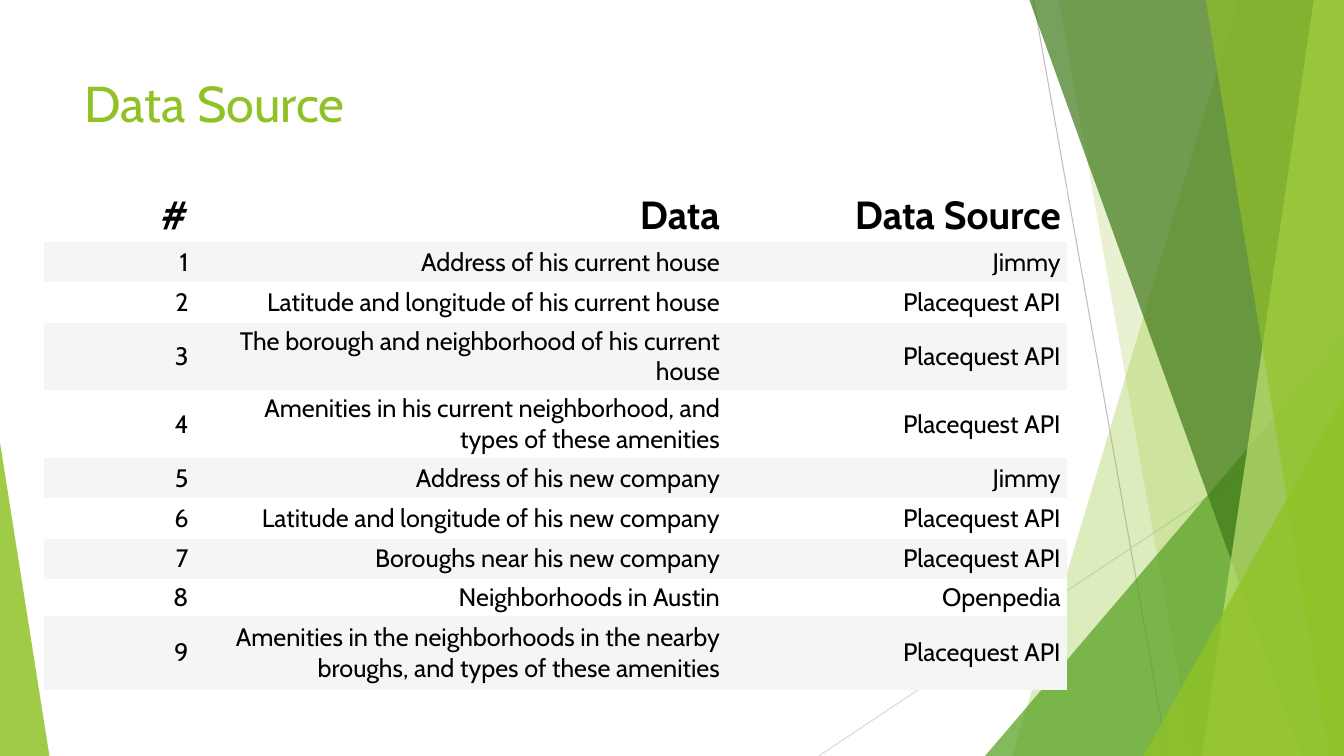
import pptx
import pptx.util
import pptx.dml.color
import pptx.enum.shapes
import pptx.enum.text
import pptx.oxml
import pptx.oxml.ns

RGB = pptx.dml.color.RGBColor
Inches = pptx.util.Inches
Pt = pptx.util.Pt
KIND = pptx.enum.shapes.MSO_SHAPE

FONT = "Cabin"
LIME = RGB(0x90, 0xC2, 0x26)
GREEN = RGB(0x54, 0xA0, 0x21)
DARK = RGB(0x3F, 0x78, 0x19)
PALE = RGB(0xC0, 0xE4, 0x74)
SILVER = RGB(0xBF, 0xBF, 0xBF)
MIST = RGB(0xD9, 0xD9, 0xD9)
STRIPE = RGB(0xF5, 0xF5, 0xF5)
WHITE = RGB(0xFF, 0xFF, 0xFF)
BLACK = RGB(0, 0, 0)

WIDE, HIGH = 13.33, 7.5
TITLE = "Data Source"
API = "Placequest API"
HEAD = ("#", "Data", "Data Source")
# what is needed, where it comes from, row height
ROWS = [
    ("Address of his current house", "Jimmy", 0.4),
    ("Latitude and longitude of his current house", API, 0.4),
    ("The borough and neighborhood of his current house", API, 0.67),
    ("Amenities in his current neighborhood, and types of these amenities", API, 0.67),
    ("Address of his new company", "Jimmy", 0.4),
    ("Latitude and longitude of his new company", API, 0.4),
    ("Boroughs near his new company", API, 0.4),
    ("Neighborhoods in Austin", "Openpedia", 0.37),
    ("Amenities in the neighborhoods in the nearby broughs, and types of these amenities",
     API, 0.73),
]
COLS = (1.49, 5.27, 3.38)
HEAD_HIGH = 0.53
LEFT, TOP = 0.44, 1.87

# start x, start y, end x, end y, colour
LINES = [
    (10.25, 0, 11.58, HIGH, SILVER),
    (WIDE, 4.03, 8.12, HIGH, MIST),
]
# "band": x at top and x at foot, filled out to the right edge
# "wedge": left, top, width and apex share, standing on the foot
DECOR = [
    ("band", (12.28, 10.04), LIME, 30),
    ("band", (10.5, 11.83), LIME, 20),
    ("wedge", (9.77, 3.33, 3.56, 1), GREEN, 72),
    ("band", (10.21, 12.91), DARK, 70),
    ("band", (13.03, 11.92), PALE, 70),
    ("band", (11.96, 13.18), LIME, 65),
    ("wedge", (11.34, 3.93, 1.99, 1), LIME, 80),
    ("wedge", (0, 4.39, 0.49, 0), LIME, 85),
]


def add_line(shapes, x1, y1, x2, y2, color):
    line = shapes.add_connector(pptx.enum.shapes.MSO_CONNECTOR.STRAIGHT,
                                Inches(x1), Inches(y1), Inches(x2), Inches(y2))
    line.line.color.rgb = color
    line.line.width = Pt(0.75)
    pptx.oxml.ns.qn("a:effectLst")
    line._element.spPr.append(line._element.spPr.makeelement(
        pptx.oxml.ns.qn("a:effectLst"), {}))


def add_band(shapes, top, foot):
    build = shapes.build_freeform(Inches(top), 0)
    build.add_line_segments([(Inches(x), Inches(y)) for x, y in
                             ((WIDE, 0), (WIDE, HIGH), (foot, HIGH))])
    return build.convert_to_shape()


def add_wedge(shapes, left, top, width, apex):
    wedge = shapes.add_shape(KIND.ISOSCELES_TRIANGLE, Inches(left), Inches(top),
                             Inches(width), Inches(HIGH - top))
    wedge.adjustments[0] = apex
    return wedge


def tint(shape, color, alpha):
    """Fill with a see-through colour; alpha is percent opaque."""
    shape.shadow.inherit = False
    shape.line.fill.background()
    shape.fill.solid()
    shape.fill.fore_color.rgb = color
    node = shape._element.spPr.find(".//" + pptx.oxml.ns.qn("a:srgbClr"))
    veil = node.makeelement(pptx.oxml.ns.qn("a:alpha"), {"val": str(alpha * 1000)})
    node.append(veil)


def style(para, size, color, bold=False):
    for run in para.runs:
        run.font.name = FONT
        run.font.size = Pt(size)
        run.font.bold = bold
        run.font.color.rgb = color


def add_title(slide):
    title = slide.shapes.title
    title.left, title.top = Inches(0.74), Inches(0.67)
    title.width, title.height = Inches(9.4), Inches(1.44)
    frame = title.text_frame
    frame.text = TITLE
    frame.vertical_anchor = pptx.enum.text.MSO_ANCHOR.TOP
    frame.paragraphs[0].alignment = pptx.enum.text.PP_ALIGN.LEFT
    style(frame.paragraphs[0], 36, LIME)


def fill_cell(cell, text, row):
    cell.margin_left = cell.margin_right = Inches(0.06)
    cell.margin_top = cell.margin_bottom = Inches(0.03)
    cell.vertical_anchor = pptx.enum.text.MSO_ANCHOR.MIDDLE
    cell.fill.solid()
    cell.fill.fore_color.rgb = STRIPE if row % 2 else WHITE
    cell.text_frame.text = text
    para = cell.text_frame.paragraphs[0]
    para.alignment = pptx.enum.text.PP_ALIGN.RIGHT
    style(para, 18 if row else 28, BLACK, bold=row == 0)


def add_grid(shapes):
    cells = [HEAD] + [(str(n), data, origin)
                      for n, (data, origin, _) in enumerate(ROWS, 1)]
    highs = [HEAD_HIGH] + [high for _, _, high in ROWS]
    table = shapes.add_table(len(cells), len(COLS), Inches(LEFT), Inches(TOP),
                             Inches(sum(COLS)), Inches(sum(highs))).table
    table.horz_banding = False
    # "No Style, No Grid"
    table._tbl.tblPr[0].text = "{2D5ABB26-0587-4C30-8999-92F81FD0307C}"
    for col, width in zip(table.columns, COLS):
        col.width = Inches(width)
    for r, (texts, high) in enumerate(zip(cells, highs)):
        table.rows[r].height = Inches(high)
        for c, text in enumerate(texts):
            fill_cell(table.cell(r, c), text, r)


def main():
    deck = pptx.Presentation()
    deck.slide_width, deck.slide_height = Inches(WIDE), Inches(HIGH)
    slide = deck.slides.add_slide(deck.slide_layouts[5])
    makers = {"band": add_band, "wedge": add_wedge}
    for line in LINES:
        add_line(slide.shapes, *line)
    for kind, place, color, alpha in DECOR:
        tint(makers[kind](slide.shapes, *place), color, alpha)
    add_title(slide)
    add_grid(slide.shapes)
    deck.save("out.pptx")


if __name__ == "__main__":
    main()
